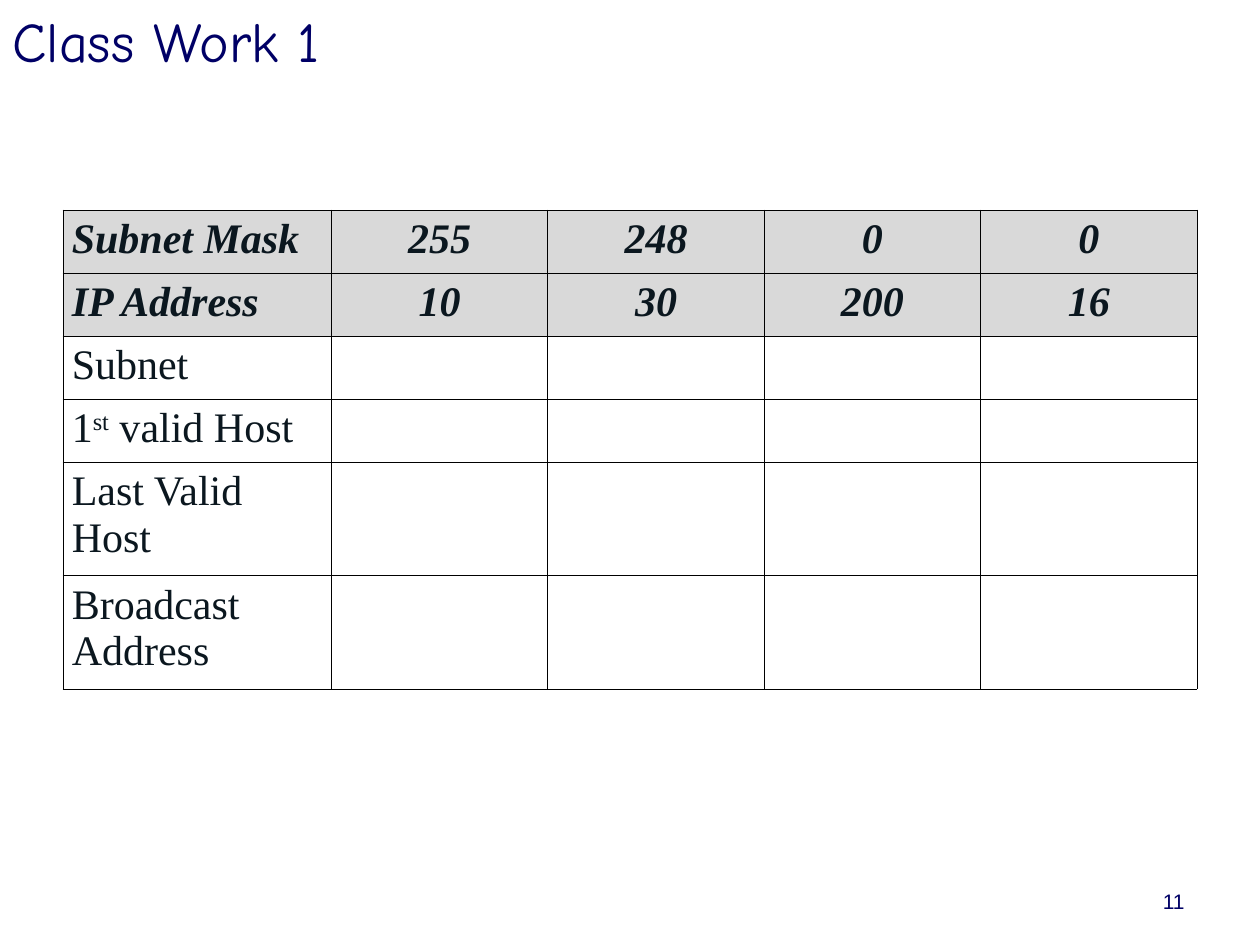
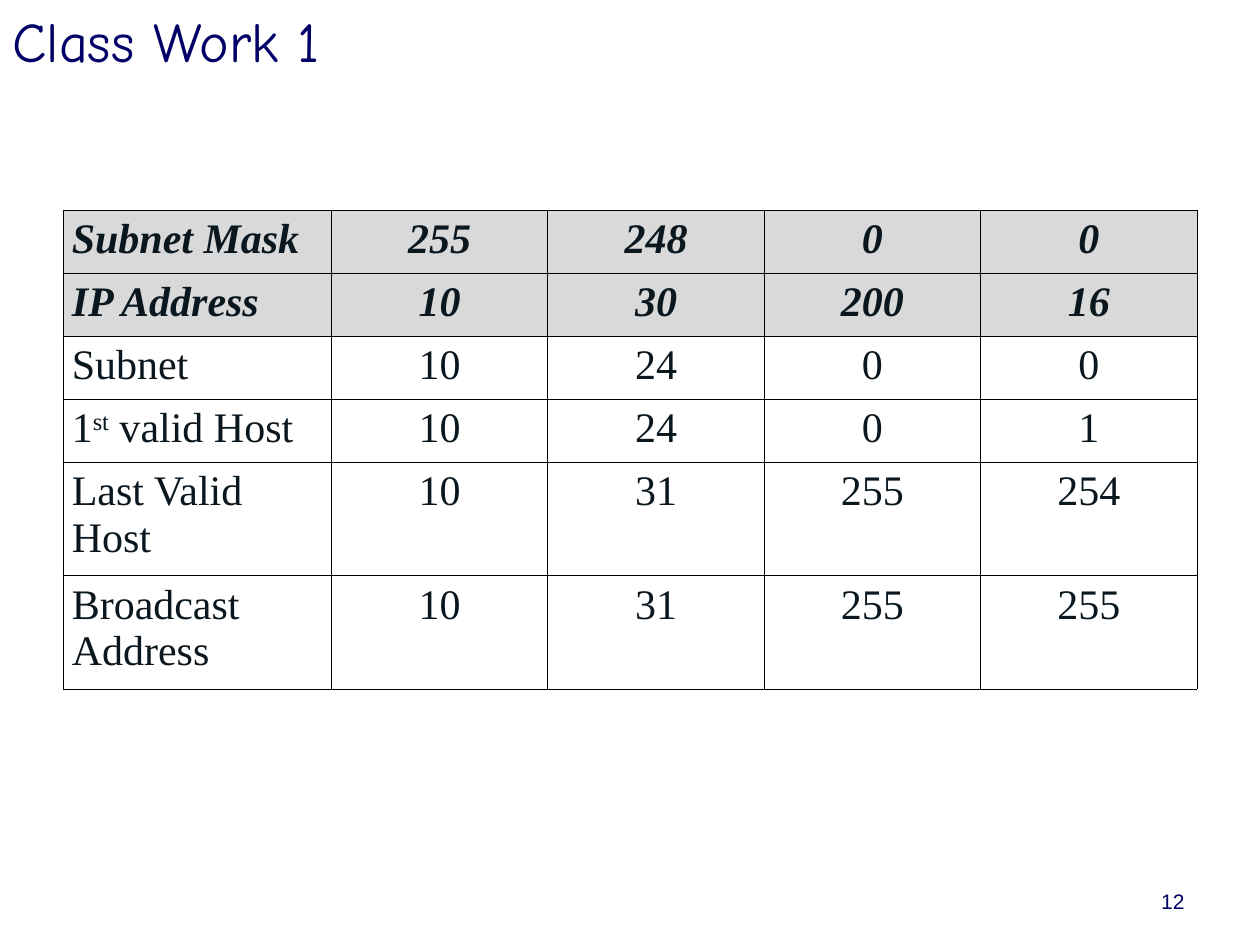
from lxml import etree
from pptx import Presentation
from pptx.dml.color import RGBColor
from pptx.enum.text import MSO_ANCHOR, PP_ALIGN
from pptx.oxml.ns import qn
from pptx.util import Inches, Pt

NAVY = RGBColor(0x00, 0x00, 0x66)
INK = RGBColor(0x0B, 0x17, 0x1F)
GREY = RGBColor(0xD9, 0xD9, 0xD9)
BLACK = RGBColor(0x00, 0x00, 0x00)

LEFT, CENTER, RIGHT = PP_ALIGN.LEFT, PP_ALIGN.CENTER, PP_ALIGN.RIGHT
JUSTIFY = PP_ALIGN.JUSTIFY
TOP, MIDDLE = MSO_ANCHOR.TOP, MSO_ANCHOR.MIDDLE

SLIDE_W, SLIDE_H = Inches(10), Inches(7.5)
FIRST_PAGE = 11
GIVEN_ROWS = 2
LABEL_W, OCTET_W = 0.213, 0.1718
ROW_HEIGHTS = [0.5] * 4 + [0.9] * 2

GIVEN = [
    ("Subnet Mask", 255, 248, 0, 0),
    ("IP Address", 10, 30, 200, 16),
]
ANSWERS = [
    ("Subnet", 10, 24, 0, 0),
    ("1^st^ valid Host", 10, 24, 0, 1),
    ("Last Valid Host", 10, 31, 255, 254),
    ("Broadcast Address", 10, 31, 255, 255),
]
QUESTIONS = [(label, "", "", "", "") for label, *_ in ANSWERS]


def write(tf, text, font, size, color, align=LEFT, bold=False, italic=False):
    """Write one paragraph, raising the parts that stand between carets."""
    p = tf.paragraphs[0]
    p.alignment = align
    p.font.size = Pt(size)
    for i, part in enumerate(text.split("^")):
        if not part:
            continue
        r = p.add_run()
        r.text = part
        r.font.name, r.font.size = font, Pt(size)
        r.font.bold, r.font.italic = bold, italic
        r.font.color.rgb = color
        if i % 2:
            r.font._element.set("baseline", "30000")


def add_text(slide, x, y, w, h, text, anchor=TOP, **fmt):
    """Add a text box placed by shares of the slide's size."""
    box = slide.shapes.add_textbox(
        int(SLIDE_W * x), int(SLIDE_H * y), int(SLIDE_W * w), int(SLIDE_H * h))
    tf = box.text_frame
    tf.word_wrap = True
    tf.vertical_anchor = anchor
    write(tf, text, **fmt)


def add_frame(slide, page):
    """Add the page number and the title that every slide shares."""
    add_text(slide, 0.717, 14 / 15, 0.233, 1 / 15, str(page),
             font="Arial", size=12, color=NAVY, align=RIGHT)
    add_text(slide, 0, 0, 1, 0.085, "Class Work 1", anchor=MIDDLE,
             font="Comic Neue", size=32, color=NAVY, align=JUSTIFY)


def set_borders(cell, color, width):
    """Draw the same thin line on all four sides of a cell."""
    tc_pr = cell._tc.get_or_add_tcPr()
    for i, side in enumerate(("a:lnL", "a:lnR", "a:lnT", "a:lnB")):
        ln = etree.Element(qn(side), w=str(Pt(width)))
        fill = etree.SubElement(ln, qn("a:solidFill"))
        etree.SubElement(fill, qn("a:srgbClr"), val=str(color))
        tc_pr.insert(i, ln)


def fill_cell(cell, text, align, given):
    """Format one cell, with given values shaded and emphasised."""
    cell.margin_left = cell.margin_right = Inches(0.07)
    if given:
        cell.fill.solid()
        cell.fill.fore_color.rgb = GREY
    else:
        cell.fill.background()
    set_borders(cell, BLACK, 0.45)
    write(cell.text_frame, text, font="Times New Roman", size=24, color=INK,
          align=align, bold=given, italic=given)


def add_subnet_table(slide, rows):
    """Add the table of labels and four address octets."""
    widths = [LABEL_W] + [OCTET_W] * 4
    table = slide.shapes.add_table(
        len(rows), len(widths), int(SLIDE_W * 0.05), int(SLIDE_H * 2 / 9),
        int(SLIDE_W * sum(widths)), Inches(sum(ROW_HEIGHTS))).table
    table.first_row = table.horz_banding = False
    for column, width in zip(table.columns, widths):
        column.width = int(SLIDE_W * width)
    for i, values in enumerate(rows):
        table.rows[i].height = Inches(ROW_HEIGHTS[i])
        for j, value in enumerate(values):
            fill_cell(table.cell(i, j), str(value),
                      CENTER if j else LEFT, i < GIVEN_ROWS)


def main():
    """Build the exercise slide and its solution."""
    prs = Presentation()
    prs.slide_width, prs.slide_height = SLIDE_W, SLIDE_H
    for page, rows in enumerate((QUESTIONS, ANSWERS), FIRST_PAGE):
        slide = prs.slides.add_slide(prs.slide_layouts[6])
        add_frame(slide, page)
        add_subnet_table(slide, GIVEN + rows)
    prs.save("out.pptx")


if __name__ == "__main__":
    main()
